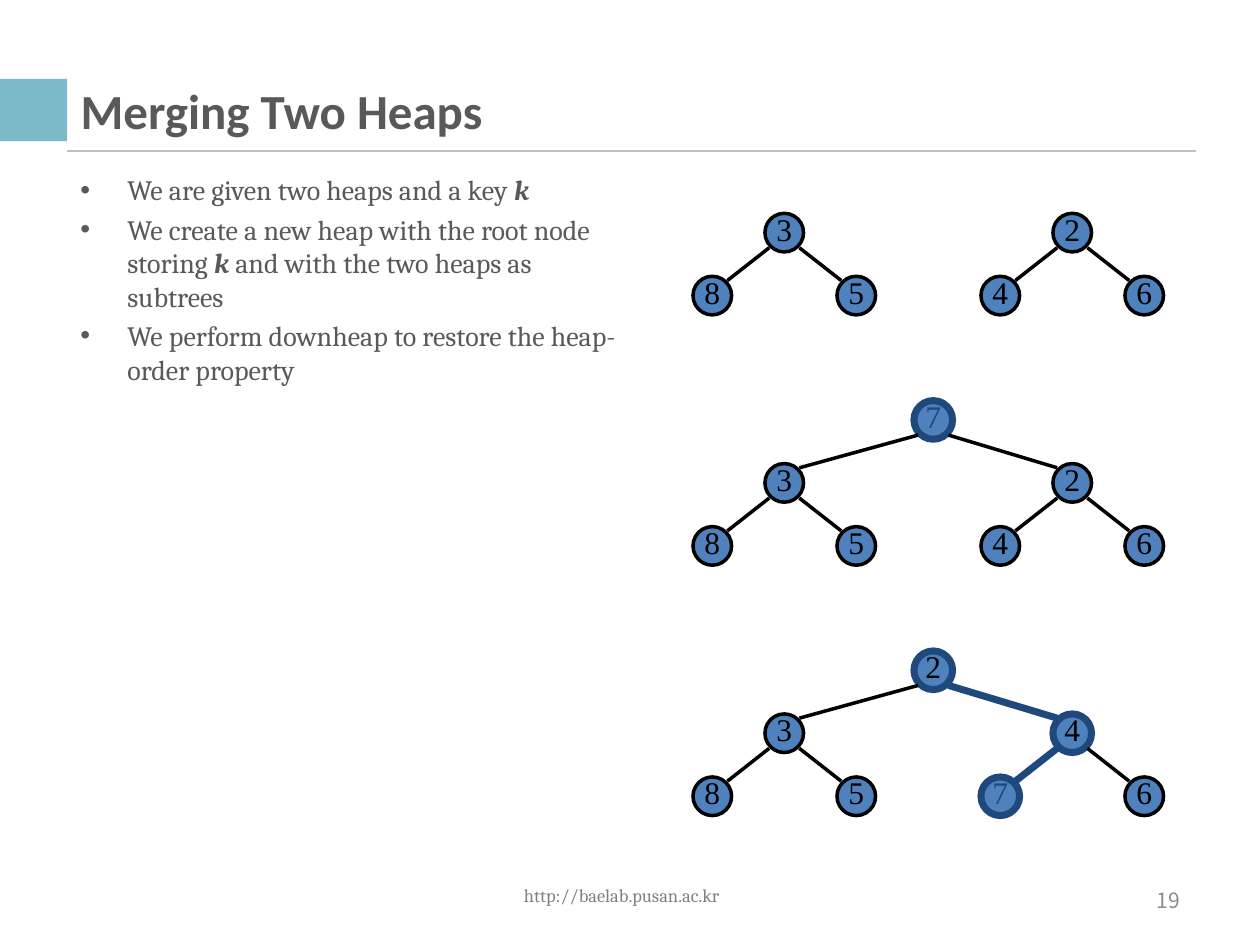
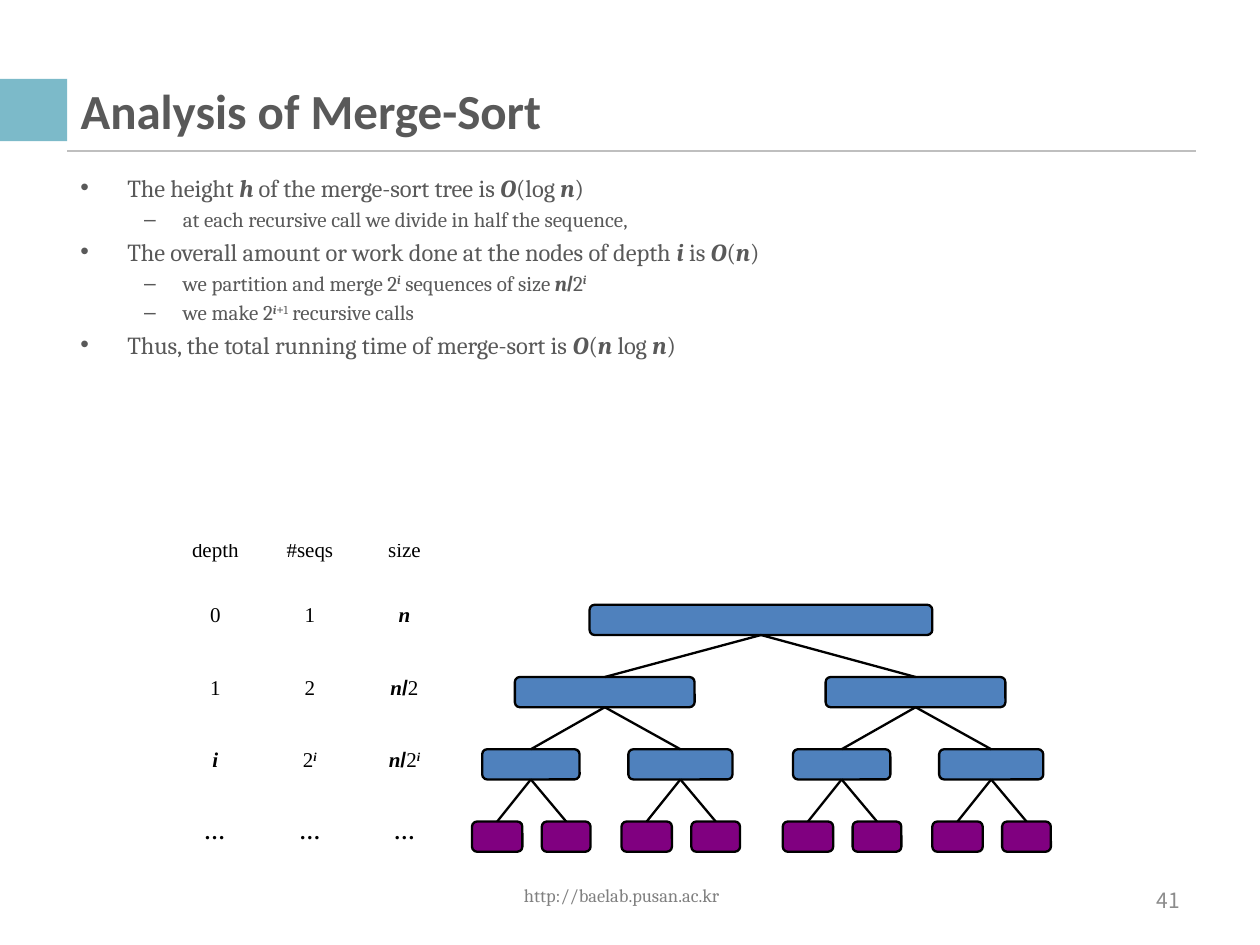
from lxml.etree import SubElement
from pptx import Presentation
from pptx.dml.color import RGBColor
from pptx.enum.shapes import MSO_CONNECTOR, MSO_SHAPE as SHAPE
from pptx.enum.text import MSO_ANCHOR as ANCHOR, MSO_AUTO_SIZE, PP_ALIGN as ALIGN
from pptx.oxml.ns import qn
from pptx.util import Inches, Pt

TEAL = RGBColor(0x7C, 0xBA, 0xC9)
RULE_GRAY = RGBColor(0xBF, 0xBF, 0xBF)
TEXT_GRAY = RGBColor(0x59, 0x59, 0x59)
FOOTER_GRAY = RGBColor(0x80, 0x80, 0x80)
NUMBER_GRAY = RGBColor(0x8C, 0x8C, 0x8C)
BLUE = RGBColor(0x4F, 0x81, 0xBD)
NAVY = RGBColor(0x1F, 0x49, 0x7D)
PURPLE = RGBColor(0x80, 0x00, 0x80)
BLACK = RGBColor(0, 0, 0)

# Mark at the start of a run: bold, italic, superscript
RUN_STYLES = {
    "*": (True, True, False),
    "!": (True, False, False),
    "^": (True, True, True),
    "~": (False, False, True),
}


def write_runs(paragraph, marked_text, font_name, size, color):
    """Fill a paragraph from runs split by "|", each with an optional style mark."""
    for piece in marked_text.split("|"):
        bold, italic, superscript = RUN_STYLES.get(piece[0], (False, False, False))
        run = paragraph.add_run()
        run.text = piece[1:] if piece[0] in RUN_STYLES else piece
        run.font.name = "Arial" if run.text in ("/", "+") else font_name
        run.font.size = Pt(size)
        run.font.color.rgb = color
        run.font.bold = bold
        run.font.italic = italic
        if superscript:
            run.font._element.set("baseline", "30000")


def add_line(slide, start, end, color, width):
    line = slide.shapes.add_connector(
        MSO_CONNECTOR.STRAIGHT, *[Inches(value) for value in (*start, *end)])
    line.line.color.rgb = color
    line.line.width = Pt(width)
    SubElement(line._element.spPr, qn("a:effectLst"))
    return line


presentation = Presentation()
presentation.slide_width = Inches(7.5)
presentation.slide_height = Inches(7.5 * 3 / 4)

# Title, number, body width, text size per level, bullets as (level, text)
CONTENT = [
    ("Merging Two Heaps", "19", 3.46, (12, 10.5), [
        (0, "We are given two heaps and a key |*k"),
        (0, "We create a new heap with the root node storing |*k| and with the two heaps as subtrees"),
        (0, "We perform downheap to restore the heap-order property"),
    ]),
    ("Analysis of Merge-Sort", "41", 6.75, (10.5, 9), [
        (0, "The height |*h| of the merge-sort tree is |*O|(log |*n|)"),
        (1, "at each recursive call we divide in half the sequence,"),
        (0, "The overall amount or work done at the nodes of depth |*i |is |*O|(|*n|)"),
        (1, "we partition and merge 2|^i| sequences of size |*n|!/|2|^i"),
        (1, "we make 2|^i|~+|~1| recursive calls"),
        (0, "Thus, the total running time of merge-sort is |*O|(|*n| log |*n|)"),
    ]),
]
BULLETS = [("•", 0.28, -0.28), ("–", 0.61, -0.23)]

slides = []
for title_text, number, body_width, sizes, bullets in CONTENT:
    slide = presentation.slides.add_slide(presentation.slide_layouts[5])
    slides.append(slide)

    band = slide.shapes.add_shape(
        SHAPE.RECTANGLE, 0, Inches(0.47), Inches(0.4), Inches(0.37))
    band.shadow.inherit = False
    band.fill.solid()
    band.fill.fore_color.rgb = TEAL
    band.line.fill.background()
    add_line(slide, (0.4, 0.9), (7.12, 0.9), RULE_GRAY, 1)

    title = slide.shapes.title
    title.left, title.top = Inches(0.38), Inches(0.48)
    title.width, title.height = Inches(6.75), Inches(0.35)
    title.text_frame.auto_size = MSO_AUTO_SIZE.NONE
    title.text_frame.vertical_anchor = ANCHOR.MIDDLE
    title.text_frame.paragraphs[0].alignment = ALIGN.LEFT
    write_runs(title.text_frame.paragraphs[0], "!" + title_text, "Calibri", 21, TEXT_GRAY)

    body = slide.shapes.add_textbox(
        Inches(0.38), Inches(0.98), Inches(body_width), Inches(4.05))
    body.text_frame.word_wrap = True
    for index, (level, text) in enumerate(bullets):
        paragraph = body.text_frame.add_paragraph() if index else body.text_frame.paragraphs[0]
        character, margin, indent = BULLETS[level]
        paragraph.level = level
        properties = paragraph._p.get_or_add_pPr()
        properties.set("marL", str(Inches(margin)))
        properties.set("indent", str(Inches(indent)))
        SubElement(properties, qn("a:buFont")).set("typeface", "Arial")
        SubElement(properties, qn("a:buChar")).set("char", character)
        if index:
            paragraph.space_before = Pt(0.2 * sizes[level])
        write_runs(paragraph, text, "Cambria", sizes[level], TEXT_GRAY)

    for left, top, width, text, alignment, font_name, size, color in (
            (2.51, 5.18, 2.38, "http://baelab.pusan.ac.kr", ALIGN.CENTER, "Cambria", 7.9, FOOTER_GRAY),
            (5.37, 5.21, 1.75, number, ALIGN.RIGHT, "Noto Sans CJK KR", 9, NUMBER_GRAY)):
        footer = slide.shapes.add_textbox(
            Inches(left), Inches(top), Inches(width), Inches(0.3))
        footer.text_frame.word_wrap = True
        footer.text_frame.vertical_anchor = ANCHOR.MIDDLE
        footer.text_frame.paragraphs[0].alignment = alignment
        write_runs(footer.text_frame.paragraphs[0], text, font_name, size, color)

heap_slide, sort_slide = slides

# Heaps: keys in level order (a space is no node) and highlighted positions
HEAPS = [(" 328546", ()), ("7328546", (0,)), ("2348576", (0, 2, 5))]
NODE_COLUMNS = (3.07, 1, 5, 0, 2, 4, 6)
COLUMN_WIDTH, ROW_HEIGHT, HEAP_STEP = 3 / 7, 3 / 8, 1.49
NODE_SIZE = 0.23
EDGE_OFFSET = 0.09

for heap_index, (keys, highlighted) in enumerate(HEAPS):
    centers = []
    for index, key in enumerate(keys):
        row = (index + 1).bit_length() - 1
        x = 4.24 + NODE_COLUMNS[index] * COLUMN_WIDTH
        y = 1.01 + heap_index * HEAP_STEP + row * ROW_HEIGHT
        centers.append((x, y))
        if key == " ":
            continue
        parent = (index - 1) // 2
        if index and keys[parent] != " ":
            parent_x, parent_y = centers[parent]
            side = EDGE_OFFSET if x > parent_x else -EDGE_OFFSET
            marked = index in highlighted and parent in highlighted
            add_line(heap_slide, (parent_x + side, parent_y + EDGE_OFFSET),
                     (x - side, y - EDGE_OFFSET),
                     NAVY if marked else BLACK, 3 if marked else 1.5)
        node = heap_slide.shapes.add_shape(
            SHAPE.OVAL, Inches(x - NODE_SIZE / 2), Inches(y - NODE_SIZE / 2),
            Inches(NODE_SIZE), Inches(NODE_SIZE))
        node.shadow.inherit = False
        node.fill.solid()
        node.fill.fore_color.rgb = BLUE
        node.line.color.rgb = NAVY if index in highlighted else BLACK
        node.line.width = Pt(3 if index in highlighted else 1.5)
        frame = node.text_frame
        frame.word_wrap = False
        frame.vertical_anchor = ANCHOR.MIDDLE
        frame.margin_left = frame.margin_right = frame.margin_top = 0
        frame.margin_bottom = Inches(0.05)
        frame.paragraphs[0].alignment = ALIGN.CENTER
        write_runs(frame.paragraphs[0], key, "Times New Roman", 13.5,
                   NAVY if key == "7" else BLACK)

# Merge-sort tree: per level, (offset from the parent's center, width) and fill
TREE_LEVELS = [
    ([(0, 2.04)], BLUE),
    ([(-0.93, 1.07), (0.92, 1.07)], BLUE),
    ([(-0.44, 0.58), (0.45, 0.62)], BLUE),
    ([(-0.2, 0.3), (0.21, 0.29)], PURPLE),
]
parents = [(4.53, None)]
for level, (children, color) in enumerate(TREE_LEVELS):
    boxes = []
    for parent_x, parent_box in parents:
        for offset, width in children:
            x = parent_x + offset
            box = sort_slide.shapes.add_shape(
                SHAPE.ROUNDED_RECTANGLE, Inches(x - width / 2),
                Inches(3.6 + level * 0.43), Inches(width), Inches(0.18))
            box.shadow.inherit = False
            box.fill.solid()
            box.fill.fore_color.rgb = color
            box.line.color.rgb = BLACK
            box.line.width = Pt(1)
            boxes.append((x, box))
            if parent_box is not None:
                edge = add_line(sort_slide, (0, 0), (0, 0), BLACK, 1)
                edge.begin_connect(parent_box, 2)
                edge.end_connect(box, 0)
    parents = boxes

LEVEL_ROWS = [
    ("depth", "#seqs", "size"),
    ("0", "1", "*n"),
    ("1", "2", "*n|!/|2"),
    ("*i", "2|^i", "*n|!/|2|^i"),
    ("*…", "!…", "!…"),
]
table = sort_slide.shapes.add_table(
    5, 3, Inches(1), Inches(3.23), Inches(1.69), Inches(1.95)).table
table.first_row = table.horz_banding = False
for column in table.columns:
    column.width = Inches(1.69 / 3)
for row_index, texts in enumerate(LEVEL_ROWS):
    table.rows[row_index].height = Inches(0.43 if row_index else 0.23)
    for column_index, text in enumerate(texts):
        cell = table.cell(row_index, column_index)
        cell.fill.background()
        cell.margin_left = cell.margin_right = cell.margin_top = cell.margin_bottom = 0
        cell.vertical_anchor = ANCHOR.MIDDLE if row_index else ANCHOR.TOP
        paragraph = cell.text_frame.paragraphs[0]
        paragraph.alignment = ALIGN.CENTER
        paragraph.line_spacing = 0.8
        write_runs(paragraph, text, "Times New Roman", 9, BLACK)

presentation.save("out.pptx")
